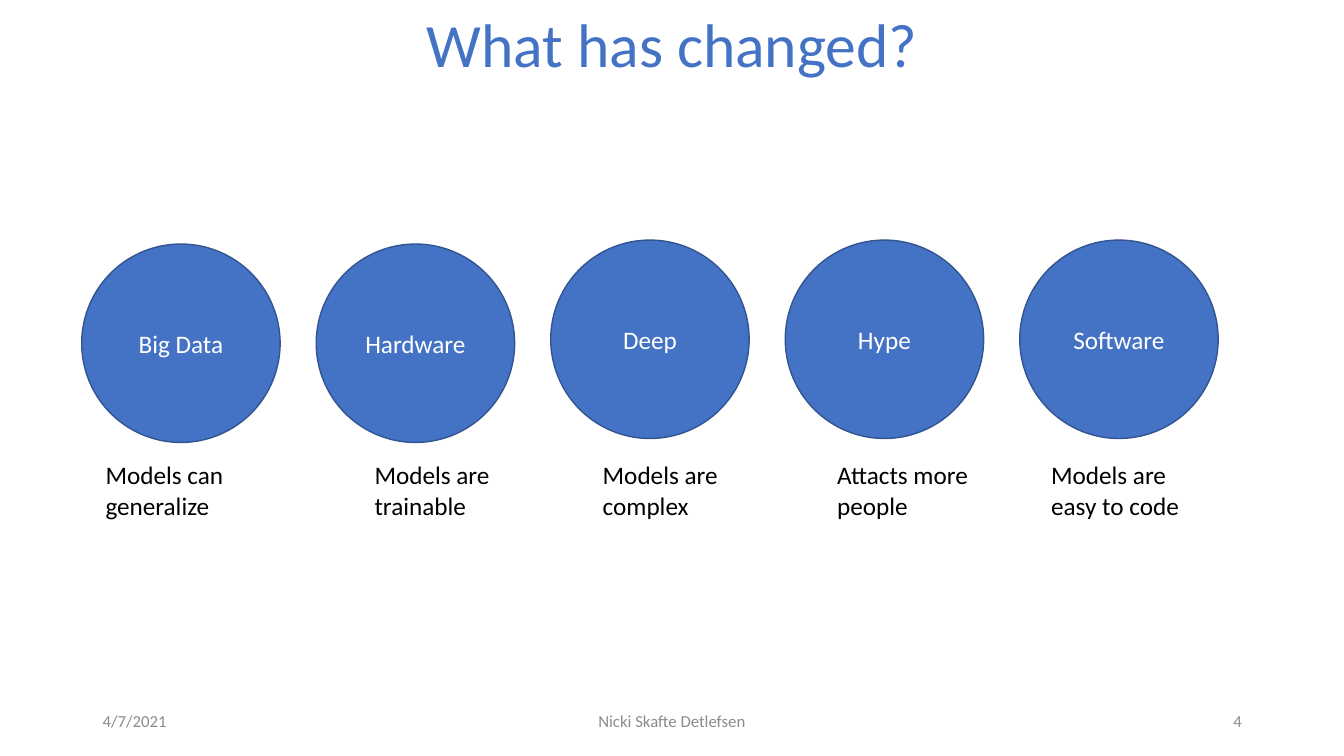
from dataclasses import dataclass

from pptx import Presentation
from pptx.dml.color import RGBColor as Rgb
from pptx.enum.shapes import MSO_SHAPE as Preset
from pptx.enum.text import MSO_ANCHOR as Anchor, MSO_AUTO_SIZE as AutoSize, PP_ALIGN as Align
from pptx.util import Cm, Pt


@dataclass(frozen=True)
class Theme:
    font: str = "Calibri"
    accent: Rgb = Rgb(0x44, 0x72, 0xC4)
    outline: Rgb = Rgb(0x32, 0x54, 0x91)
    body: Rgb = Rgb(0, 0, 0)
    inverse: Rgb = Rgb(255, 255, 255)
    muted: Rgb = Rgb(0x8C, 0x8C, 0x8C)
    title_size: int = 44
    body_size: int = 18
    footer_size: int = 12


class SlideBuilder:
    def __init__(self, slide, theme):
        self.slide = slide
        self.theme = theme

    def fill_frame(self, frame, wording, size, color, align, anchor):
        frame.word_wrap = True
        frame.vertical_anchor = anchor
        paragraph = frame.paragraphs[0]
        paragraph.alignment = align
        run = paragraph.add_run()
        run.text = wording
        run.font.name = self.theme.font
        run.font.size = Pt(size)
        run.font.color.rgb = color
        return paragraph

    def text(self, wording, box, size, color, align=Align.LEFT, anchor=Anchor.MIDDLE):
        frame = self.slide.shapes.add_textbox(*map(Cm, box)).text_frame
        return frame, self.fill_frame(frame, wording, size, color, align, anchor)

    def title(self, wording, box):
        _, paragraph = self.text(wording, box, self.theme.title_size, self.theme.accent, Align.CENTER)
        paragraph.line_spacing = 0.9

    def footer(self, wording, box, align):
        self.text(wording, box, self.theme.footer_size, self.theme.muted, align)

    def caption(self, wording, box):
        frame, _ = self.text(wording, box, self.theme.body_size, self.theme.body, anchor=Anchor.TOP)
        frame.auto_size = AutoSize.SHAPE_TO_FIT_TEXT

    def circle(self, wording, left, top, diameter):
        disc = self.slide.shapes.add_shape(Preset.OVAL, *map(Cm, (left, top, diameter, diameter)))
        disc.shadow.inherit = False
        disc.fill.solid()
        disc.fill.fore_color.rgb = self.theme.accent
        disc.line.color.rgb = self.theme.outline
        disc.line.width = Pt(1)
        self.fill_frame(disc.text_frame, wording, self.theme.body_size, self.theme.inverse,
                        Align.CENTER, Anchor.MIDDLE)


deck = Presentation()
deck.slide_width, deck.slide_height = Cm(33.87), Cm(19.05)
builder = SlideBuilder(deck.slides.add_slide(deck.slide_layouts[6]), Theme())

builder.title("What has changed?", (2.34, -0.64, 29.21, 3.68))

FIRST_LEFT, PITCH, DIAMETER = 2.06, 5.91, 5
CAPTION_TOP, CAPTION_WIDTH, CAPTION_HEIGHT = 11.46, 3.96, 1.8
drivers = [
    ("Big Data", 6.15, "Models can generalize", 2.41),
    ("Hardware", 6.15, "Models are trainable", 9.19),
    ("Deep", 6.05, "Models are complex", 14.94),
    ("Hype", 6.05, "Attacts more people", 20.85),
    ("Software", 6.05, "Models are easy to code", 26.24),
]
for index, (driver, top, effect, effect_left) in enumerate(drivers):
    builder.circle(driver, FIRST_LEFT + index * PITCH, top, DIAMETER)
    builder.caption(effect, (effect_left, CAPTION_TOP, CAPTION_WIDTH, CAPTION_HEIGHT))

FOOTER_TOP, FOOTER_HEIGHT = 17.65, 1.02
for wording, left, width, align in [
    ("4/7/2021", 2.34, 7.62, Align.LEFT),
    ("Nicki Skafte Detlefsen", 11.22, 11.43, Align.CENTER),
    ("4", 23.93, 7.62, Align.RIGHT),
]:
    builder.footer(wording, (left, FOOTER_TOP, width, FOOTER_HEIGHT), align)

deck.save("out.pptx")
